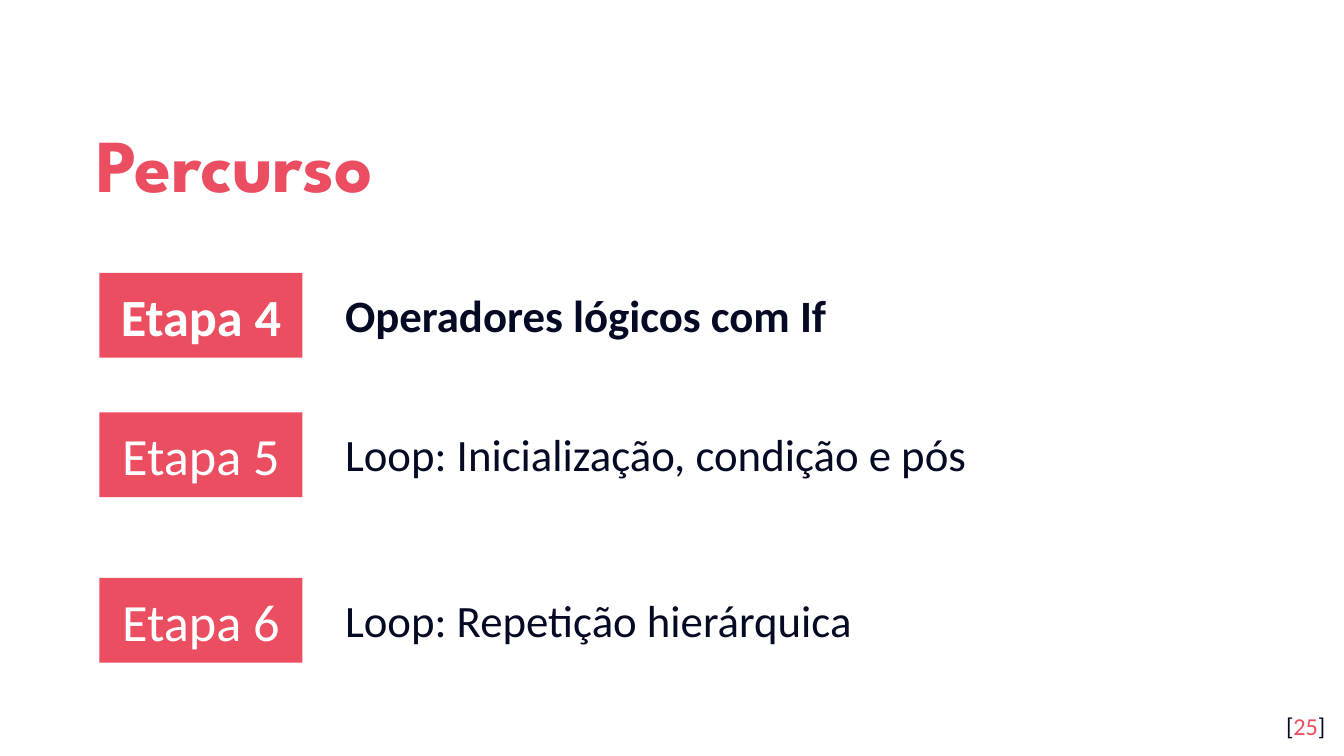
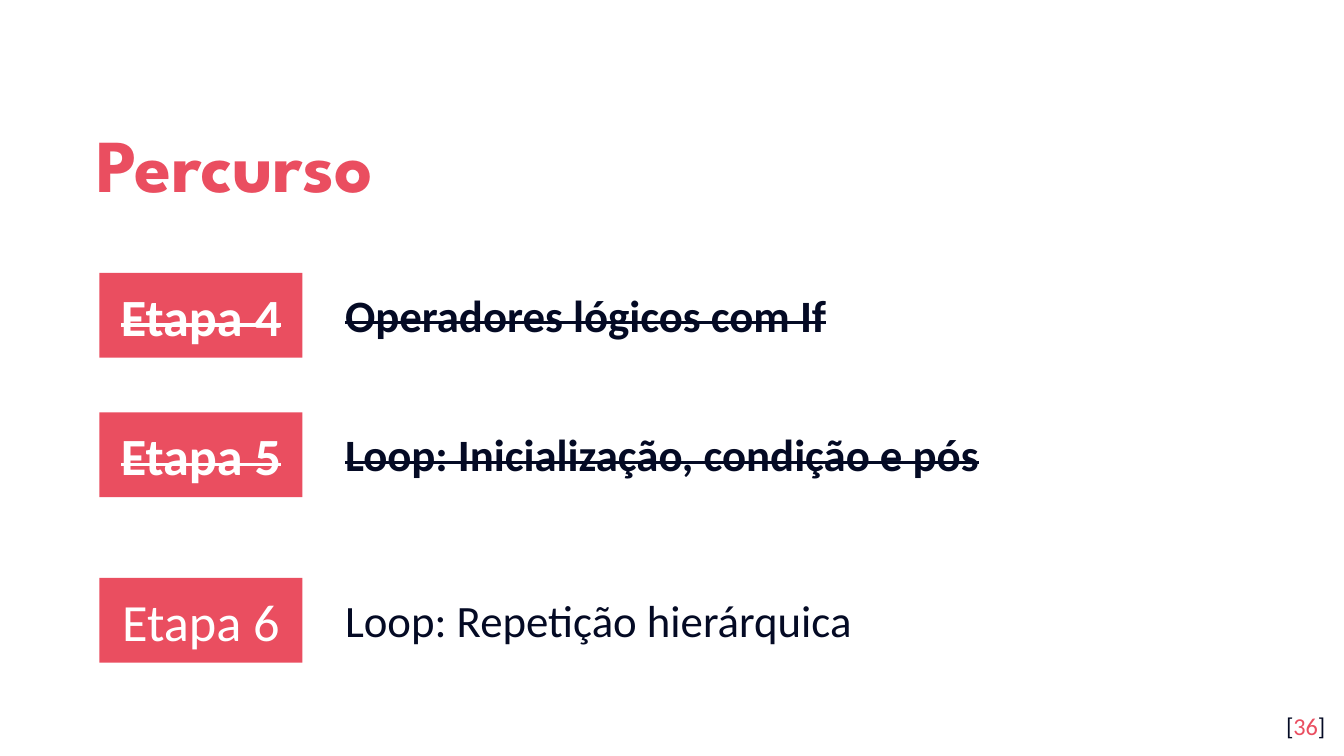
from dataclasses import dataclass

from pptx import Presentation
from pptx.dml.color import RGBColor
from pptx.enum.shapes import MSO_SHAPE
from pptx.enum.text import MSO_ANCHOR, MSO_AUTO_SIZE, PP_ALIGN
from pptx.slide import Slide
from pptx.text.text import TextFrame, _Paragraph
from pptx.util import Pt

CORAL = RGBColor(0xEA, 0x4E, 0x60)
NAVY = RGBColor(0x04, 0x0A, 0x24)
WHITE = RGBColor(0xFF, 0xFF, 0xFF)
BODY = "Calibri"
HEAD = "League Spartan"

TOPS = (146.2, 221, 309.6)
STEPS = (
    ("Etapa 4", "Operadores lógicos com If"),
    ("Etapa 5", "Loop: Inicialização, condição e pós"),
    ("Etapa 6", "Loop: Repetição hierárquica"),
)


@dataclass(frozen=True)
class Style:
    size: float
    color: RGBColor
    font: str = BODY
    bold: bool = False
    strike: bool = False


@dataclass(frozen=True)
class Page:
    number: str
    bold: int  # how many leading steps are bold
    done: int  # how many leading steps are struck out


PAGES = (Page("25", bold=1, done=0), Page("36", bold=2, done=2))


def add_run(para: _Paragraph, text: str, style: Style) -> None:
    run = para.add_run()
    run.text = text
    run.font.name = style.font
    run.font.size = Pt(style.size)
    run.font.bold = style.bold
    run.font.color.rgb = style.color
    if style.strike:
        run._r.get_or_add_rPr().set("strike", "sngStrike")


def set_frame(frame: TextFrame, pad: float, anchor: MSO_ANCHOR,
              align: PP_ALIGN) -> _Paragraph:
    frame.word_wrap = True
    frame.auto_size = MSO_AUTO_SIZE.NONE
    frame.vertical_anchor = anchor
    frame.margin_left = frame.margin_right = Pt(7.2)
    frame.margin_top = frame.margin_bottom = Pt(pad)
    para = frame.paragraphs[0]
    para.alignment = align
    return para


def add_title(slide: Slide, text: str) -> None:
    title = slide.shapes.title
    title.left, title.top = Pt(44.6), Pt(50.4)
    title.width, title.height = Pt(583.2), Pt(66.2)
    para = set_frame(title.text_frame, 7.2, MSO_ANCHOR.MIDDLE, PP_ALIGN.LEFT)
    para.line_spacing = 1.15
    add_run(para, text, Style(40, CORAL, HEAD, bold=True))


def add_step(slide: Slide, top: float, label: str, topic: str,
             bold: bool, strike: bool) -> None:
    # Label block
    block = slide.shapes.add_shape(
        MSO_SHAPE.RECTANGLE, Pt(53.3), Pt(top), Pt(108.7), Pt(45.4))
    block.shadow.inherit = False
    block.fill.solid()
    block.fill.fore_color.rgb = CORAL
    block.line.fill.background()
    para = set_frame(block.text_frame, 7.2, MSO_ANCHOR.MIDDLE, PP_ALIGN.CENTER)
    add_run(para, label, Style(28, WHITE, bold=bold, strike=strike))

    # Topic with a hanging indent
    box = slide.shapes.add_textbox(Pt(177.8), Pt(top + 4.3), Pt(486), Pt(36))
    para = set_frame(box.text_frame, 3.6, MSO_ANCHOR.TOP, PP_ALIGN.LEFT)
    props = para._p.get_or_add_pPr()
    props.set("marL", str(Pt(36)))
    props.set("indent", str(-Pt(36)))
    add_run(para, topic, Style(24, NAVY, bold=bold, strike=strike))


def add_number(slide: Slide, number: str) -> None:
    box = slide.shapes.add_textbox(Pt(673.9), Pt(373.7), Pt(43.2), Pt(31))
    para = set_frame(box.text_frame, 7.2, MSO_ANCHOR.TOP, PP_ALIGN.RIGHT)
    for text, color in (("[", NAVY), (number, CORAL), ("]", NAVY)):
        add_run(para, text, Style(13, color))


def main() -> None:
    deck = Presentation()
    deck.slide_width, deck.slide_height = Pt(720), Pt(405)
    for page in PAGES:
        slide = deck.slides.add_slide(deck.slide_layouts[5])
        add_title(slide, "Percurso")
        for i, (top, (label, topic)) in enumerate(zip(TOPS, STEPS)):
            add_step(slide, top, label, topic, i < page.bold, i < page.done)
        add_number(slide, page.number)
    deck.save("out.pptx")


if __name__ == "__main__":
    main()
